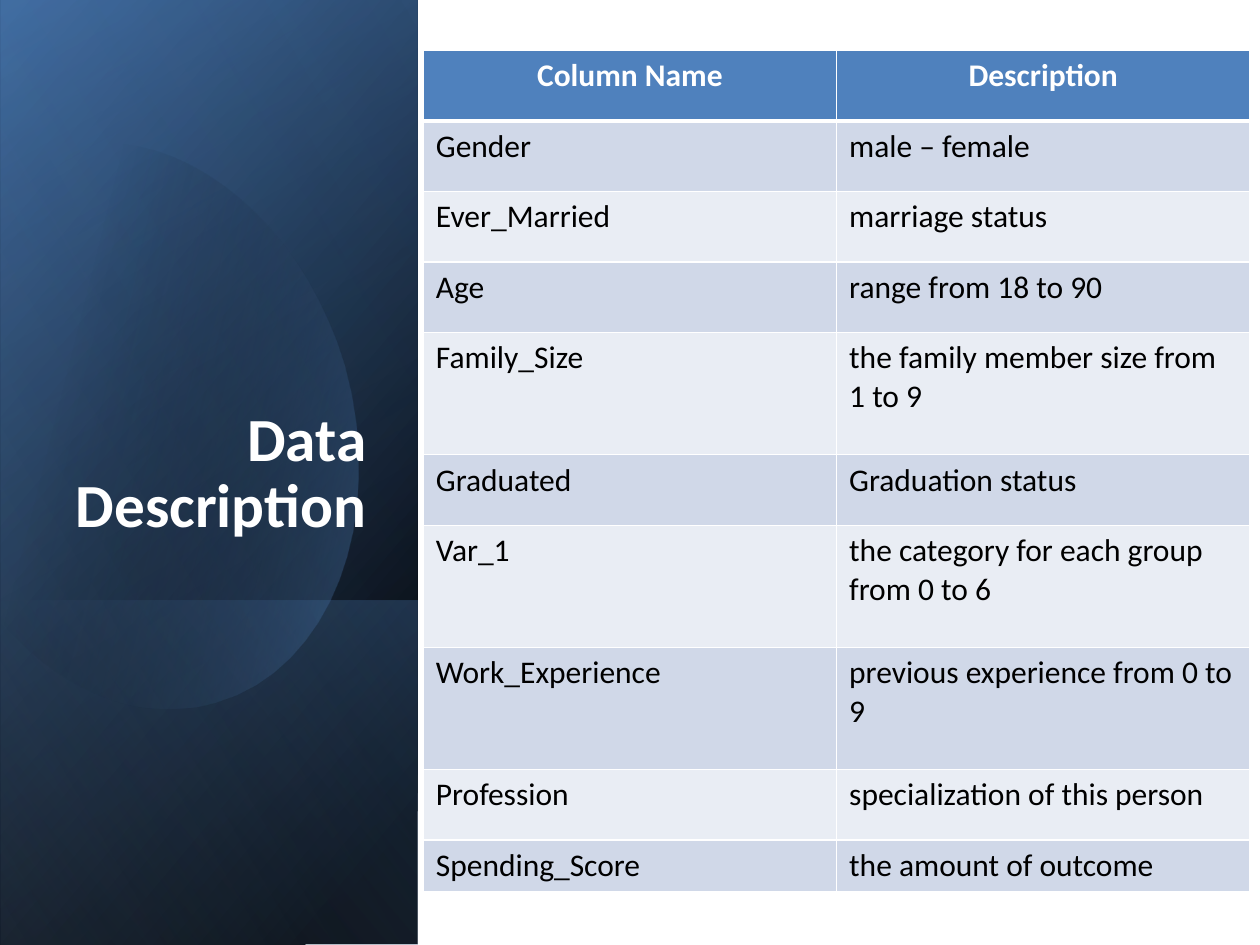
from lxml import etree
from pptx import Presentation
from pptx.dml.color import RGBColor
from pptx.enum.shapes import MSO_SHAPE
from pptx.enum.text import MSO_ANCHOR, MSO_AUTO_SIZE, PP_ALIGN
from pptx.oxml.ns import qn
from pptx.util import Inches, Pt

RECT = MSO_SHAPE.RECTANGLE
RIGHT, CENTER, LEFT = PP_ALIGN.RIGHT, PP_ALIGN.CENTER, PP_ALIGN.LEFT
FONT = "Calibri"
WHITE, BLACK, BLUE = "FFFFFF", "000000", "4F81BD"
BANDS = ("D0D8E8", "E9EDF4")

TITLE = "Data Description"
ROWS = [
    ("Column Name", "Description", 0.56),
    ("Gender", "male – female", 0.56),
    ("Ever_Married", "marriage status", 0.56),
    ("Age", "range from 18 to 90", 0.56),
    ("Family_Size", "the family member size from 1 to 9", 0.97),
    ("Graduated", "Graduation status", 0.56),
    ("Var_1", "the category for each group from 0 to 6", 0.97),
    ("Work_Experience", "previous experience from 0 to 9", 0.97),
    ("Profession", "specialization of this person", 0.56),
    ("Spending_Score", "the amount of outcome", 0.4),
]
COL_W = 3.28

# Side panel layers: box before a quarter turn, gradient angle,
# stops as (position %, colour, opacity %)
PANEL = (-2.09, 2.09, 7.5, 3.31)
LAYERS = [
    (PANEL, 50, [(8, BLACK, 100), (100, "376092", 100)]),
    (PANEL, 30, [(0, BLACK, 0), (99, BLUE, 46)]),
    ((0.29, 4.48, 2.74, 3.31), 130, [(2, BLUE, 29), (100, BLACK, 30)]),
]
SHEEN = (PANEL, 120, [(0, BLACK, 0), (99, "95B3D7", 11)])

# Oval outline: start point, then segments of one (line) or three (curve) points
OVAL_START = (0.96, 1.14)
OVAL = [
    [(1.71, 1.22), (2.44, 1.92), (2.73, 2.9)],
    [(3.07, 4.12), (2.62, 5.31), (1.71, 5.57)],
    [(1.14, 5.74), (0.53, 5.5), (0.07, 5)],
    [(-0.03, 4.88)],
    [(-0.25, 1.66)],
    [(-0.15, 1.54)],
    [(0.02, 1.37), (0.22, 1.25), (0.45, 1.18)],
    [(0.62, 1.13), (0.79, 1.12), (0.96, 1.14)],
]
OVAL_STOPS = [(29, BLACK, 0), (100, BLUE, 43)]
OVAL_ANGLE = 14


def rgb(hex_code):
    """Turn a hex string into a colour."""
    return RGBColor.from_string(hex_code)


def style_gradient(sp, angle, stops):
    """Give a shape a linear gradient with opacity, no line and no shadow."""
    sp.shadow.inherit = False
    sp.line.fill.background()
    sp.fill.gradient()
    grad = sp._element.spPr.find(qn("a:gradFill"))
    grad.find(qn("a:lin")).set("ang", str(angle * 60000))
    stop_list = grad.find(qn("a:gsLst"))
    for old in list(stop_list):
        stop_list.remove(old)
    for pos, color, opacity in stops:
        gs = etree.SubElement(stop_list, qn("a:gs"), pos=str(pos * 1000))
        clr = etree.SubElement(gs, qn("a:srgbClr"), val=color)
        etree.SubElement(clr, qn("a:alpha"), val=str(opacity * 1000))


def add_layer(shapes, box, angle, stops):
    """Add a mirrored, quarter-turned gradient rectangle."""
    sp = shapes.add_shape(RECT, *map(Inches, box))
    sp.rotation = 90
    sp._element.spPr.find(qn("a:xfrm")).set("flipH", "1")
    style_gradient(sp, angle, stops)


def outline(start, segments, steps=16):
    """Return the points along a path of lines and cubic curves."""
    points, p0 = [], start
    for seg in segments:
        if len(seg) == 3:
            for i in range(1, steps):
                t = i / steps
                u = 1 - t
                weights = (u**3, 3 * u * u * t, 3 * u * t * t, t**3)
                points.append(tuple(
                    sum(w * p[axis] for w, p in zip(weights, [p0, *seg]))
                    for axis in (0, 1)))
        p0 = seg[-1]
        points.append(p0)
    return points


def add_oval(shapes):
    """Add the translucent oval."""
    builder = shapes.build_freeform(*OVAL_START, scale=Inches(1))
    # Finer local units keep the curve smooth
    builder = shapes.build_freeform(
        *(round(v * 1000) for v in OVAL_START), scale=Inches(1) / 1000)
    builder.add_line_segments(
        [(round(x * 1000), round(y * 1000))
         for x, y in outline(OVAL_START, OVAL)], close=True)
    style_gradient(builder.convert_to_shape(), OVAL_ANGLE, OVAL_STOPS)


def format_text(p, size, color, bold, align):
    """Align a paragraph and set the font of its runs."""
    p.alignment = align
    for r in p.runs:
        r.font.name, r.font.size, r.font.bold = FONT, Pt(size), bold
        r.font.color.rgb = rgb(color)


def set_borders(cell, top, bottom):
    """Draw white cell borders with the given top and bottom widths."""
    tc_pr = cell._tc.get_or_add_tcPr()
    sides = (("L", 1), ("R", 1), ("T", top), ("B", bottom))
    for i, (side, width) in enumerate(sides):
        ln = etree.Element(qn("a:ln" + side), w=str(Pt(width)))
        fill = etree.SubElement(ln, qn("a:solidFill"))
        etree.SubElement(fill, qn("a:srgbClr"), val=WHITE)
        tc_pr.insert(i, ln)


def add_data_table(shapes):
    """Add the table of column names and descriptions."""
    height = sum(row[-1] for row in ROWS)
    table = shapes.add_table(len(ROWS), 2, Inches(3.36), Inches(0.4),
                             Inches(2 * COL_W), Inches(height)).table
    for col in table.columns:
        col.width = Inches(COL_W)
    for i, (*texts, row_h) in enumerate(ROWS):
        table.rows[i].height = Inches(row_h)
        header = i == 0
        for j, text in enumerate(texts):
            cell = table.cell(i, j)
            cell.text_frame.text = text
            format_text(cell.text_frame.paragraphs[0], 18,
                        WHITE if header else BLACK, header,
                        CENTER if header else LEFT)
            cell.fill.solid()
            cell.fill.fore_color.rgb = rgb(BLUE if header else BANDS[(i - 1) % 2])
            set_borders(cell, 3 if i == 1 else 1, 3 if header else 1)


def place_title(s):
    """Move the title above the panel and format it."""
    title = s.shapes.title
    s.shapes._spTree.append(title._element)
    title.left, title.top, title.width, title.height = map(
        Inches, (0.38, 0.64, 2.63, 3.7))
    tf = title.text_frame
    tf.text = TITLE
    tf.word_wrap = True
    tf.auto_size = MSO_AUTO_SIZE.NONE
    tf.vertical_anchor = MSO_ANCHOR.BOTTOM
    p = tf.paragraphs[0]
    p.line_spacing = 0.9
    format_text(p, 35, WHITE, True, RIGHT)


prs = Presentation()
prs.slide_width, prs.slide_height = Inches(10), Inches(7.5)
s = prs.slides.add_slide(prs.slide_layouts[5])
for layer in LAYERS:
    add_layer(s.shapes, *layer)
add_oval(s.shapes)
add_layer(s.shapes, *SHEEN)
place_title(s)
add_data_table(s.shapes)
prs.save("out.pptx")
